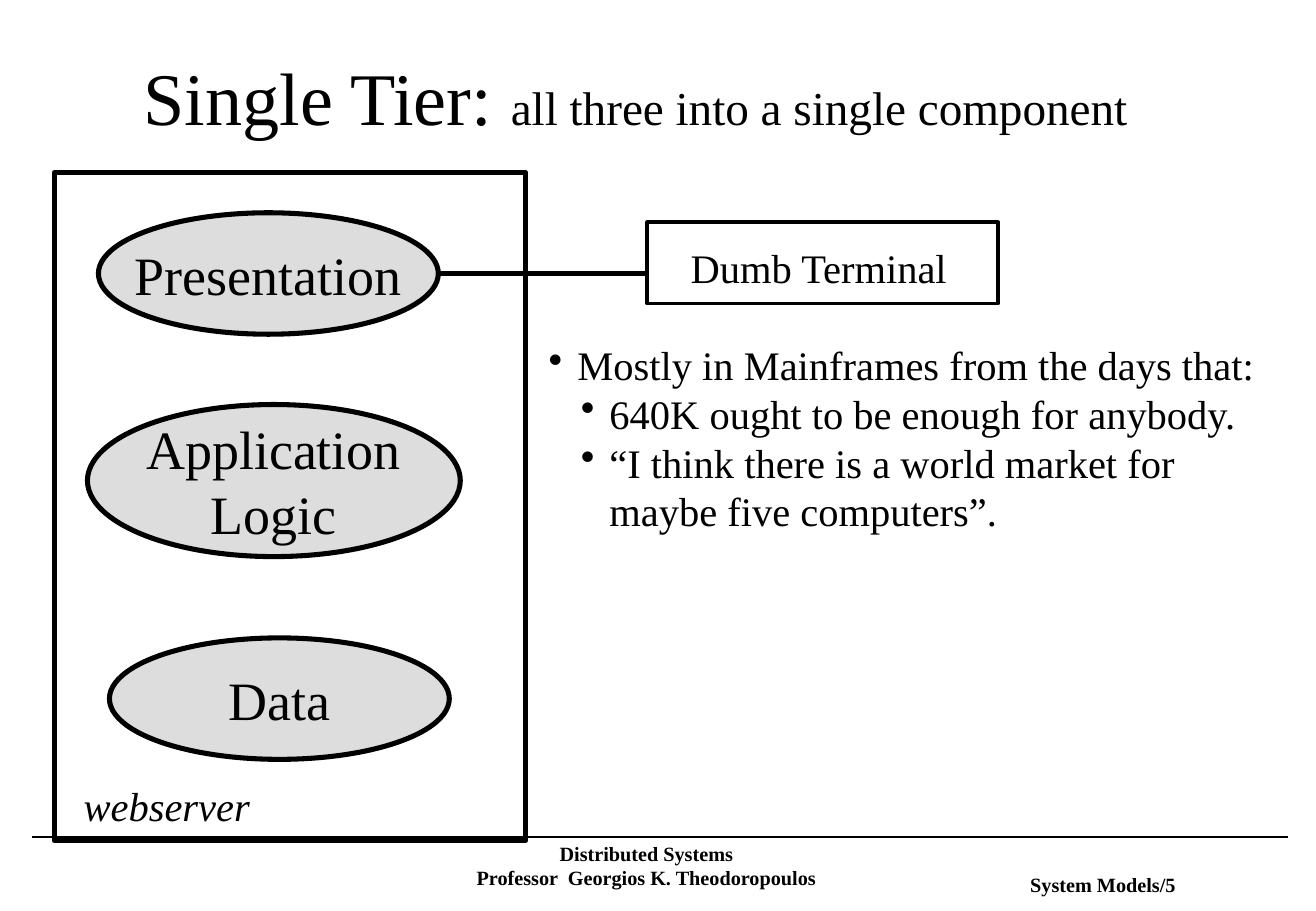
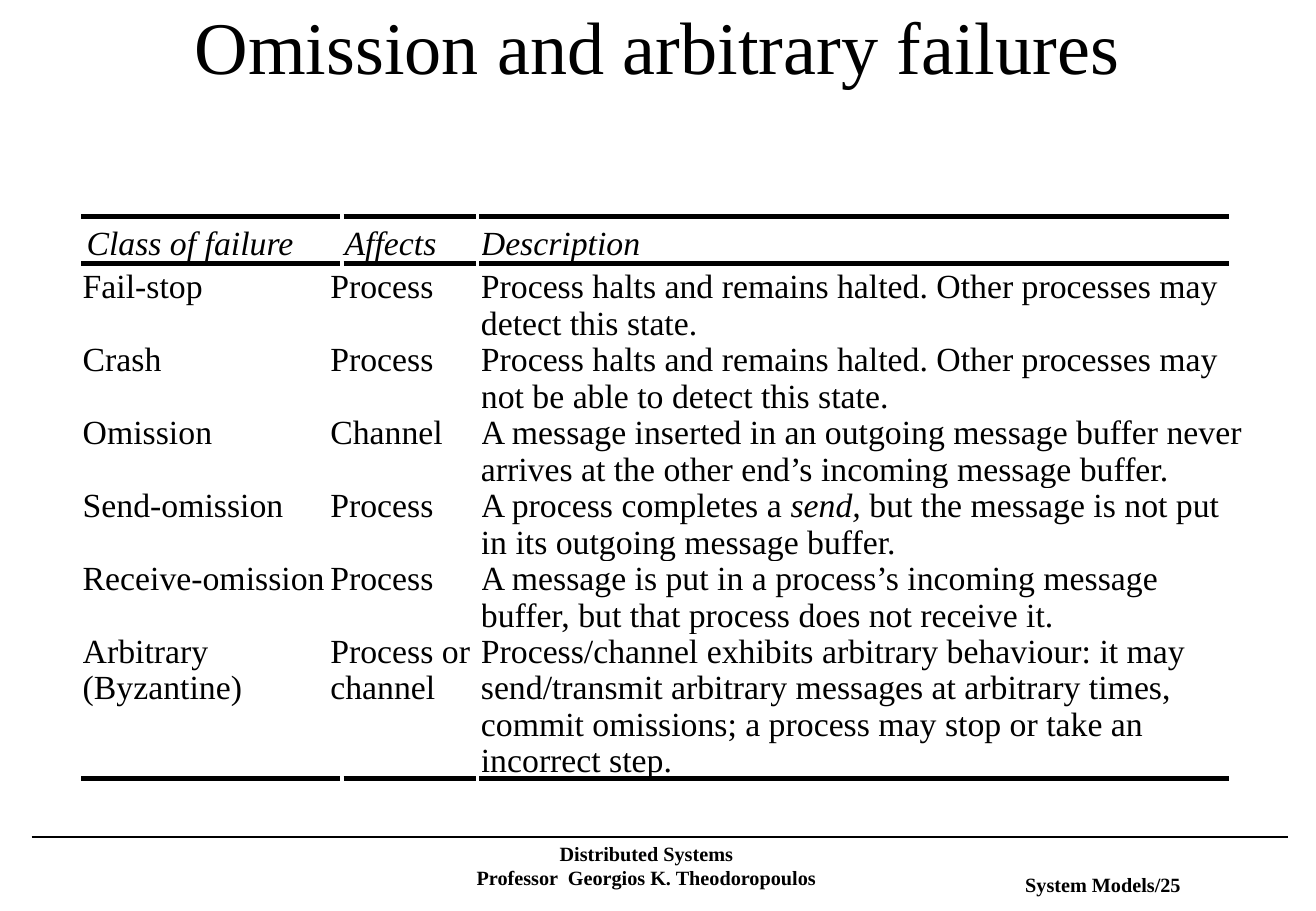
from dataclasses import dataclass

from lxml import etree
from pptx import Presentation
from pptx import util as u
from pptx.dml.color import RGBColor
from pptx.enum import shapes, text
from pptx.oxml.ns import qn


@dataclass(frozen=True)
class Theme:
    font: str = "Times New Roman"
    ink: RGBColor = RGBColor(0, 0, 0)
    oval: RGBColor = RGBColor(0xDD, 0xDD, 0xDD)
    title: int = 44
    subtitle: int = 28
    label: int = 32
    body: int = 24
    table: int = 20
    footer: int = 12
    thick: float = 3
    medium: float = 2.25
    rule: float = 2.86
    thin: float = 1.5
    leading: float = 1.2


THEME = Theme()
CENTER = text.PP_ALIGN.CENTER
LEFT = text.PP_ALIGN.LEFT
MIDDLE = text.MSO_ANCHOR.MIDDLE
TOP = text.MSO_ANCHOR.TOP
INSETS = (0.25, 0.13)


def add_bullet(para, margin, hang):
    props = para._p.get_or_add_pPr()
    props.set("marL", str(u.Cm(margin)))
    props.set("indent", str(-u.Cm(hang)))
    etree.SubElement(props, qn("a:buChar")).set("char", "•")


def write(frame, content, size, align=LEFT, anchor=TOP, wrap=True, insets=INSETS,
          bold=False, italic=False, leading=None, bullets=()):
    frame.word_wrap = wrap
    frame.vertical_anchor = anchor
    frame.margin_left = frame.margin_right = u.Cm(insets[0])
    frame.margin_top = frame.margin_bottom = u.Cm(insets[1])
    lines = content.split("\n") if isinstance(content, str) else content
    for index, line in enumerate(lines):
        para = frame.paragraphs[0] if index == 0 else frame.add_paragraph()
        para.alignment = align
        para.line_spacing = u.Pt(leading or size * THEME.leading)
        para.space_before = para.space_after = u.Pt(0)
        if bullets:
            add_bullet(para, *bullets[index])
        spans = [(line, {})] if isinstance(line, str) else line
        for words, style in spans:
            for number, piece in enumerate(words.split("\v")):
                if number:
                    para.add_line_break()
                span = para.add_run()
                span.text = piece
                span.font.name = THEME.font
                span.font.size = u.Pt(style.get("size", size))
                span.font.bold = bold
                span.font.italic = style.get("italic", italic)
                span.font.color.rgb = THEME.ink


class Slides:
    def __init__(self):
        self.deck = Presentation()
        self.deck.slide_width = u.Cm(27.53)
        self.deck.slide_height = u.Cm(19.05)
        self.page = None

    def new_page(self, number, title, *place):
        self.page = self.deck.slides.add_slide(self.deck.slide_layouts[5])
        box = self.page.shapes.title
        box.left, box.top, box.width, box.height = map(u.Cm, place)
        box.text_frame.auto_size = text.MSO_AUTO_SIZE.NONE
        write(box.text_frame, title, THEME.title, align=CENTER, anchor=MIDDLE)
        footer = dict(size=THEME.footer, align=CENTER, anchor=MIDDLE, wrap=False, bold=True)
        self.text(f"System Models/{number}", 19.25, 18.26, 7.65, 0.48, **footer)
        self.line(0.66, 17.5, 26.95, 17.5, THEME.thin)
        self.text("Distributed Systems\nProfessor  Georgios K. Theodoropoulos",
                  9.7, 17.86, 7.65, 0.48, **footer)

    def text(self, content, left, top, width, height, **style):
        box = self.page.shapes.add_textbox(*map(u.Cm, (left, top, width, height)))
        write(box.text_frame, content, **style)

    def line(self, x1, y1, x2, y2, weight):
        line = self.page.shapes.add_connector(
            shapes.MSO_CONNECTOR.STRAIGHT, *map(u.Cm, (x1, y1, x2, y2)))
        line.line.color.rgb = THEME.ink
        line.line.width = u.Pt(weight)
        etree.SubElement(line._element.spPr, qn("a:effectLst"))

    def shape(self, kind, left, top, width, height, weight, fill=None):
        box = self.page.shapes.add_shape(kind, *map(u.Cm, (left, top, width, height)))
        box.shadow.inherit = False
        box.line.color.rgb = THEME.ink
        box.line.width = u.Pt(weight)
        if fill is None:
            box.fill.background()
        else:
            box.fill.solid()
            box.fill.fore_color.rgb = fill
        return box

    def frame(self, *place, weight):
        self.shape(shapes.MSO_SHAPE.RECTANGLE, *place, weight)

    def oval(self, label, *place):
        box = self.shape(shapes.MSO_SHAPE.OVAL, *place, THEME.thick, THEME.oval)
        write(box.text_frame, label, THEME.label, align=CENTER, anchor=MIDDLE, wrap=False)

    def table(self, rows, left, top, widths, heights, header_indents):
        table = self.page.shapes.add_table(
            len(rows), len(widths),
            *map(u.Cm, (left, top, sum(widths), sum(heights)))).table
        table.first_row = table.horz_banding = False
        for column, width in zip(table.columns, widths):
            column.width = u.Cm(width)
        for index, (row, height) in enumerate(zip(rows, heights)):
            table.rows[index].height = u.Cm(height)
            for number, content in enumerate(row):
                cell = table.cell(index, number)
                cell.fill.background()
                write(cell.text_frame, [content], THEME.table, italic=index == 0, leading=21.6)
                cell.vertical_anchor = TOP
                cell.margin_left = u.Cm(0 if index else header_indents[number])
                cell.margin_right = cell.margin_top = cell.margin_bottom = u.Cm(0)


FAILURES = [
    ("Class of failure", "Affects", "Description"),
    ("Fail-stop", "Process",
     "Process halts and remains halted. Other processes may\vdetect this state."),
    ("Crash", "Process",
     "Process halts and remains halted. Other processes may\vnot be able to detect this state."),
    ("Omission", "Channel",
     "A message inserted in an outgoing message buffer never\v"
     "arrives at the other end’s incoming message buffer."),
    ("Send-omission", "Process",
     [("A process completes a ", {}), ("send,", {"italic": True}),
      (" but the message is not put\vin its outgoing message buffer.", {})]),
    ("Receive-omission", "Process",
     "A message is put in a process’s incoming message\v"
     "buffer, but that process does not receive it."),
    ("Arbitrary\v(Byzantine)", "Process or\vchannel",
     "Process/channel exhibits arbitrary behaviour: it may\v"
     "send/transmit arbitrary messages at arbitrary times,\v"
     "commit omissions; a process may stop or take an\vincorrect step."),
]


def single_tier(slides):
    title = [[("Single Tier: ", {}),
              ("all three into a single component", {"size": THEME.subtitle})]]
    slides.new_page(5, title, 1.14, 0.64, 24.31, 2.74)
    slides.oval("Presentation", 2.06, 4.45, 7.11, 2.54)
    slides.oval("Application\nLogic", 1.83, 8.46, 7.8, 3.18)
    slides.oval("Data", 2.29, 13.34, 7.11, 2.54)
    slides.frame(1.14, 3.61, 9.86, 13.97, weight=THEME.thick)
    slides.text("webserver", 1.5, 16.21, 3.99, 1.27,
                size=THEME.body, italic=True, wrap=False)
    slides.frame(13.54, 4.65, 7.34, 1.7, weight=THEME.medium)
    slides.text("Dumb Terminal", 14.45, 5.08, 5.44, 1.02,
                size=THEME.body, wrap=False, insets=(0, 0))
    slides.line(13.54, 5.72, 9.17, 5.72, THEME.thick)
    slides.text("Mostly in Mainframes from the days that:\n"
                "640K ought to be enough for anybody.\n"
                "“I think there is a world market for maybe five computers”.",
                11.23, 6.99, 15.6, 4.32, size=THEME.body,
                bullets=[(0.6, 0.6), (1.27, 0.6), (1.27, 0.6)])


def failure_classes(slides):
    slides.new_page(25, "Omission and arbitrary failures", 0, 0.15, 27.51, 1.57)
    slides.table(FAILURES, 1.73, 4.73, widths=(5.18, 3.15, 16.26),
                 heights=[0.91] + [1.52] * 5 + [3.05], header_indents=(0.08, 0.3, 0))
    for y in (4.53, 5.51, 16.28):
        for start, end in ((1.7, 7.11), (7.19, 9.96), (10.03, 25.7)):
            slides.line(start, y, end, y, THEME.rule)


def main():
    slides = Slides()
    single_tier(slides)
    failure_classes(slides)
    slides.deck.save("out.pptx")


if __name__ == "__main__":
    main()
